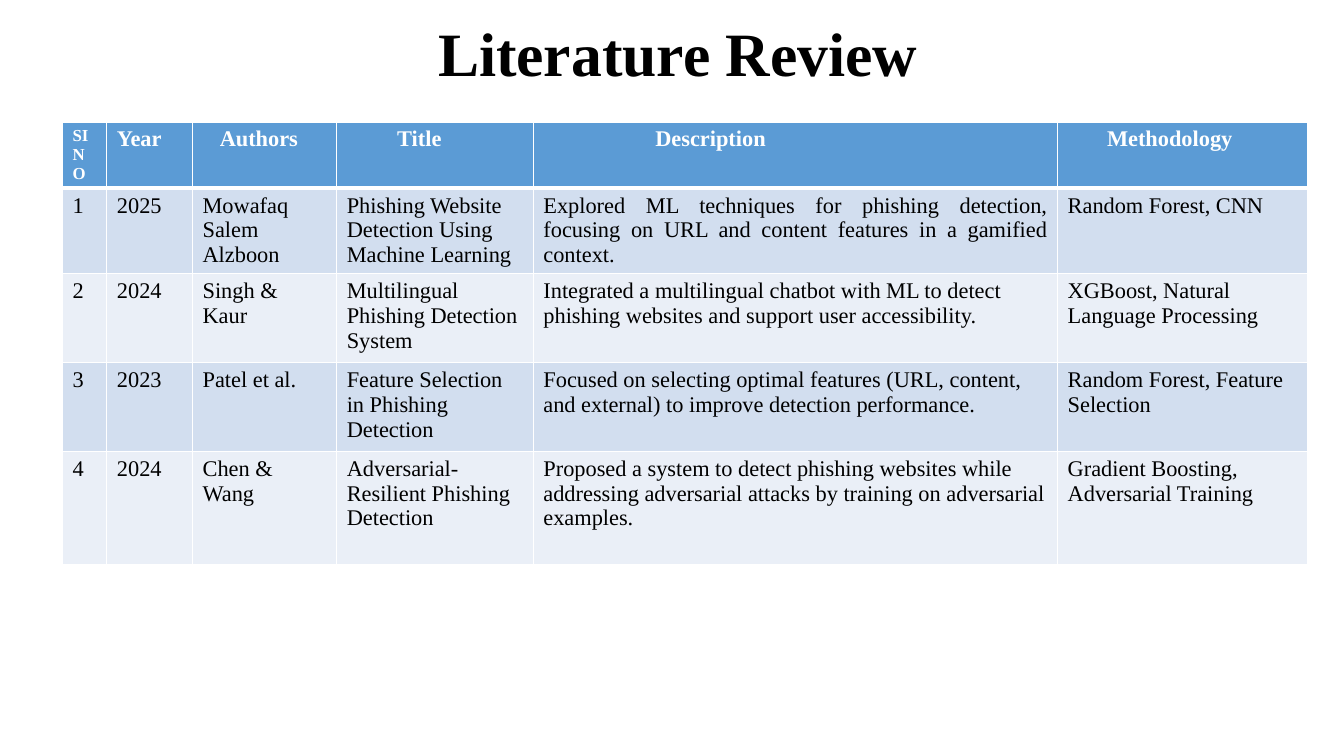
from dataclasses import dataclass

import lxml.etree
import pptx
import pptx.dml.color
import pptx.enum.text
import pptx.oxml.ns
import pptx.slide
import pptx.table
import pptx.text.text
import pptx.util

EMU_PER_PX = 9144  # 100 px to the inch
FONT = "Times New Roman"
COLOURS = {
    "text": "000000",
    "header_text": "FFFFFF",
    "header": "5B9BD5",
    "odd_row": "D2DEEF",
    "even_row": "EAEFF7",
    "grid": "FFFFFF",
}
CELL_MARGIN = 10
ALIGN = pptx.enum.text.PP_ALIGN


@dataclass(frozen=True)
class Column:
    heading: tuple[str, ...]
    width: int
    indent: int = 0
    heading_size: int = 16


@dataclass(frozen=True)
class Study:
    year: str
    authors: str
    title: str
    description: str
    methodology: str
    height: int
    description_align: ALIGN = ALIGN.LEFT


COLUMNS = [
    Column(("SI", "NO"), 44, heading_size=12),
    Column(("Year",), 85),
    Column(("Authors",), 143, indent=17),
    Column(("Title",), 195, indent=50),
    Column(("Description",), 520, indent=111),
    Column(("Methodology",), 248, indent=39),
]
HEADER_HEIGHT = 47
STUDIES = [
    Study("2025", "Mowafaq Salem Alzboon",
          "Phishing Website Detection Using Machine Learning",
          "Explored ML techniques for phishing detection, focusing on URL and "
          "content features in a gamified context.",
          "Random Forest, CNN", 85, ALIGN.JUSTIFY),
    Study("2024", "Singh & Kaur",
          "Multilingual Phishing Detection System",
          "Integrated a multilingual chatbot with ML to detect phishing "
          "websites and support user accessibility.",
          "XGBoost, Natural Language Processing", 88),
    Study("2023", "Patel et al.",
          "Feature Selection in Phishing Detection",
          "Focused on selecting optimal features (URL, content, and external) "
          "to improve detection performance.",
          "Random Forest, Feature Selection", 88),
    Study("2024", "Chen & Wang",
          "Adversarial-Resilient Phishing Detection",
          "Proposed a system to detect phishing websites while addressing "
          "adversarial attacks by training on adversarial examples.",
          "Gradient Boosting, Adversarial Training", 113),
]


def px(length: int) -> pptx.util.Emu:
    return pptx.util.Emu(length * EMU_PER_PX)


def rgb(name: str) -> pptx.dml.color.RGBColor:
    return pptx.dml.color.RGBColor.from_string(COLOURS[name])


def add_run(paragraph: pptx.text.text._Paragraph, text: str, size: int,
            colour: str, bold: bool) -> None:
    run = paragraph.add_run()
    run.text = text
    run.font.name = FONT
    run.font.size = pptx.util.Pt(size)
    run.font.bold = bold
    run.font.color.rgb = rgb(colour)


def set_borders(cell: pptx.table._Cell, top: int = 1, bottom: int = 1) -> None:
    """Draw the four cell borders, with widths in points."""
    qn = pptx.oxml.ns.qn
    properties = cell._tc.get_or_add_tcPr()
    for side, width in (("L", 1), ("R", 1), ("T", top), ("B", bottom)):
        line = lxml.etree.SubElement(properties, qn(f"a:ln{side}"),
                                     w=str(pptx.util.Pt(width)))
        fill = lxml.etree.SubElement(line, qn("a:solidFill"))
        lxml.etree.SubElement(fill, qn("a:srgbClr"), val=COLOURS["grid"])


def set_fill(cell: pptx.table._Cell, colour: str) -> None:
    cell.fill.solid()
    cell.fill.fore_color.rgb = rgb(colour)


def fill_header(table: pptx.table.Table) -> None:
    table.rows[0].height = px(HEADER_HEIGHT)
    for index, column in enumerate(COLUMNS):
        table.columns[index].width = px(column.width)
        cell = table.cell(0, index)
        set_borders(cell, bottom=3)
        set_fill(cell, "header")
        cell.margin_left = px(CELL_MARGIN + column.indent)
        for line, words in enumerate(column.heading):
            frame = cell.text_frame
            paragraph = frame.add_paragraph() if line else frame.paragraphs[0]
            add_run(paragraph, words, column.heading_size, "header_text", True)


def fill_study(table: pptx.table.Table, number: int, study: Study) -> None:
    table.rows[number].height = px(study.height)
    entries = (str(number), study.year, study.authors, study.title,
               study.description, study.methodology)
    for index, entry in enumerate(entries):
        cell = table.cell(number, index)
        set_borders(cell, top=3 if number == 1 else 1)
        set_fill(cell, "odd_row" if number % 2 else "even_row")
        paragraph = cell.text_frame.paragraphs[0]
        if entry is study.description:
            paragraph.alignment = study.description_align
        add_run(paragraph, entry, 16, "text", False)


def add_heading(slide: pptx.slide.Slide) -> None:
    heading = slide.shapes.title
    heading.left, heading.top = px(89), px(30)
    heading.width, heading.height = px(1167), px(53)
    frame = heading.text_frame
    frame.auto_size = pptx.enum.text.MSO_AUTO_SIZE.NONE
    frame.vertical_anchor = pptx.enum.text.MSO_ANCHOR.MIDDLE
    paragraph = frame.paragraphs[0]
    paragraph.alignment = ALIGN.CENTER
    paragraph.line_spacing = 0.9
    add_run(paragraph, "Literature Review", 44, "text", True)


def add_review_table(slide: pptx.slide.Slide) -> None:
    width = sum(column.width for column in COLUMNS)
    height = HEADER_HEIGHT + sum(study.height for study in STUDIES)
    table = slide.shapes.add_table(len(STUDIES) + 1, len(COLUMNS), px(62),
                                   px(121), px(width), px(height)).table
    fill_header(table)
    for number, study in enumerate(STUDIES, start=1):
        fill_study(table, number, study)


def main() -> None:
    presentation = pptx.Presentation()
    presentation.slide_width, presentation.slide_height = px(1333), px(750)
    title_only = presentation.slide_layouts[5]
    slide = presentation.slides.add_slide(title_only)
    add_heading(slide)
    add_review_table(slide)
    presentation.save("out.pptx")


if __name__ == "__main__":
    main()
